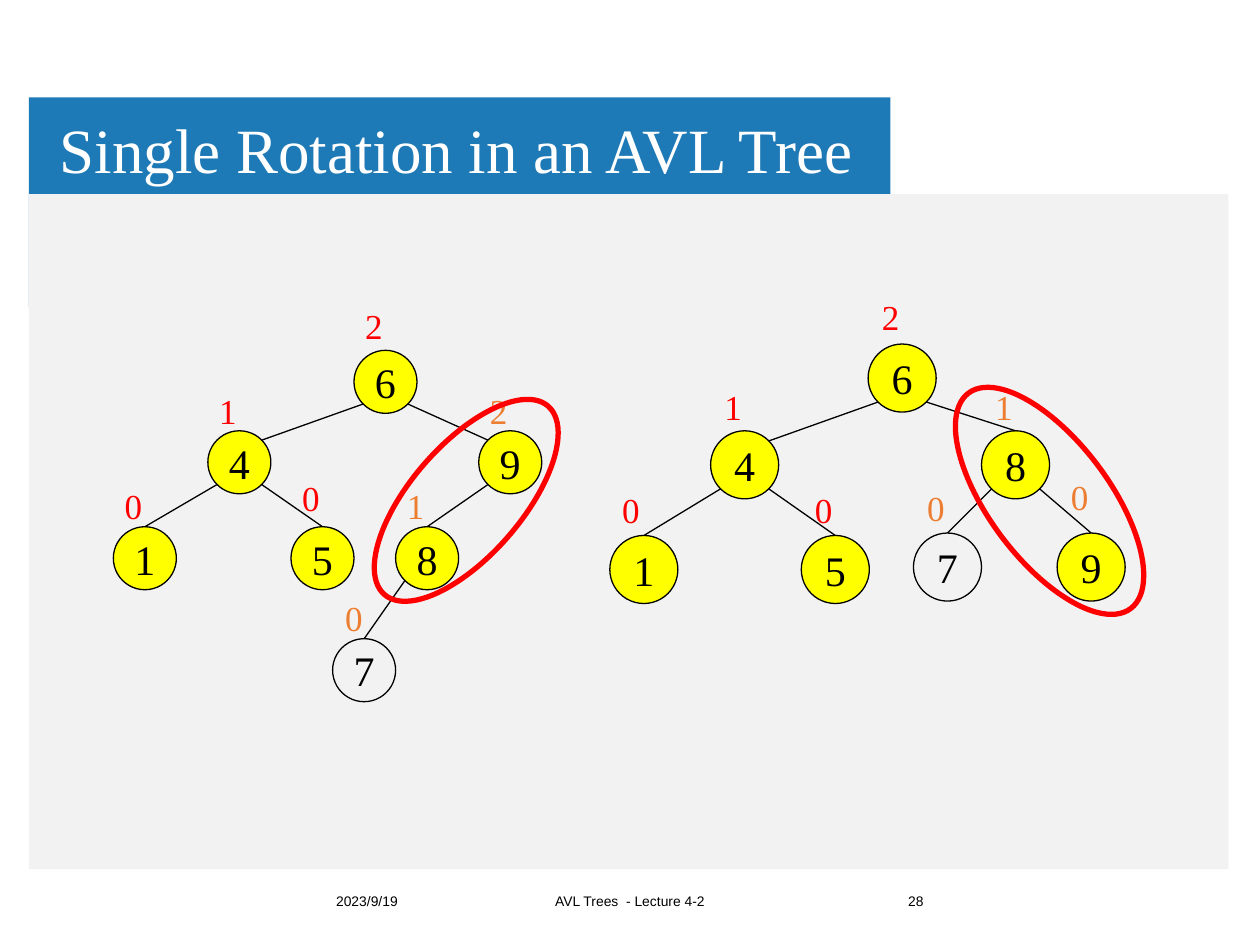
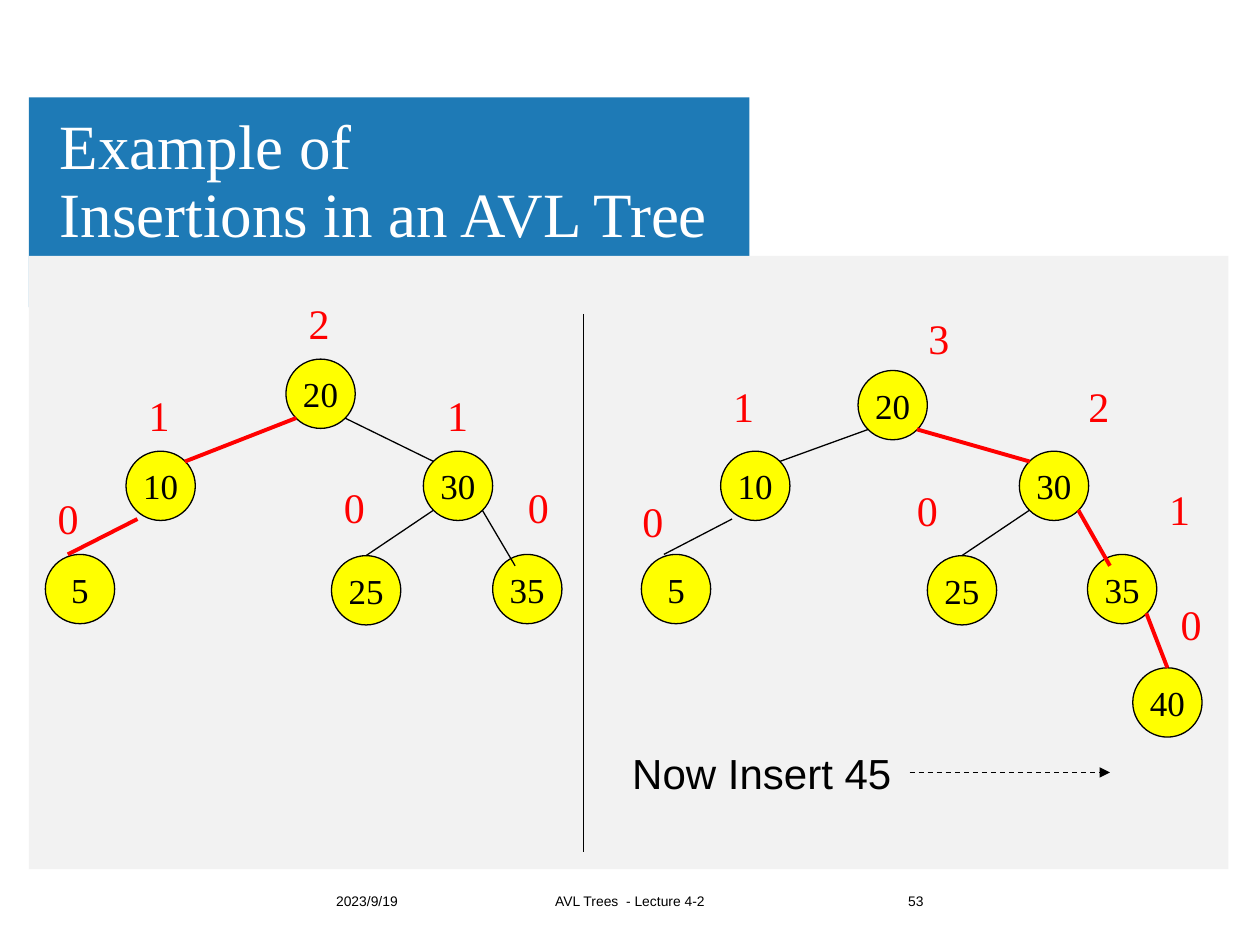
from dataclasses import dataclass

from pptx import Presentation
from pptx.dml.color import RGBColor
from pptx.enum.dml import MSO_LINE
from pptx.enum.shapes import MSO_CONNECTOR, MSO_SHAPE
from pptx.enum.text import MSO_ANCHOR, MSO_AUTO_SIZE, PP_ALIGN
from pptx.oxml.ns import qn
from pptx.oxml.xmlchemy import OxmlElement
from pptx.shapes.connector import Connector
from pptx.slide import Slide
from pptx.text.text import TextFrame
from pptx.util import Pt

LEFT, CENTER, RIGHT = PP_ALIGN.LEFT, PP_ALIGN.CENTER, PP_ALIGN.RIGHT
TOP, MIDDLE = MSO_ANCHOR.TOP, MSO_ANCHOR.MIDDLE
RECT, OVAL = MSO_SHAPE.RECTANGLE, MSO_SHAPE.OVAL
STRAIGHT, DASH = MSO_CONNECTOR.STRAIGHT, MSO_LINE.DASH
NO_FIT = MSO_AUTO_SIZE.NONE
TITLE_ONLY = 5


@dataclass(frozen=True)
class Theme:
    serif: str = "Times New Roman"
    sans: str = "Arial"
    blue: str = "1E7AB6"
    panel: str = "F2F2F2"
    yellow: str = "FFFF00"
    red: str = "FF0000"
    orange: str = "ED7D31"
    black: str = "000000"
    white: str = "FFFFFF"
    title: float = 36
    large: float = 24
    medium: float = 20
    footer: float = 7.9
    thin: float = 0.75
    thick: float = 2.25
    ring: float = 3


T = Theme()
CORNER = (0.7, 0.7)
CORNER_END = (0.7, -0.7)
TOP_END = (0, -1)


@dataclass(frozen=True)
class Node:
    key: str
    left: float
    top: float
    height: str
    shift: tuple[float, float]
    parent: str = ""
    end: tuple[float, float] = TOP_END
    start: tuple[float, float] = CORNER
    color: str = T.red
    filled: bool = True
    hot: bool = False


@dataclass(frozen=True)
class Tree:
    size: float
    key_pt: float
    height_pt: float
    nodes: list[Node]


@dataclass(frozen=True)
class Ring:
    left: float
    top: float
    width: float
    height: float
    angle: float


@dataclass(frozen=True)
class Page:
    title: str
    title_top: float
    band_width: float
    panel_top: float
    number: str
    trees: list[Tree]


def rgb(color: str) -> RGBColor:
    return RGBColor.from_string(color)


def write(tf: TextFrame, text: str, *, size: float, font: str = T.serif,
          color: str = T.black, align: PP_ALIGN = LEFT,
          anchor: MSO_ANCHOR = TOP, wrap: bool = True,
          spacing: float = 1.0) -> None:
    tf.text = text
    tf.word_wrap = wrap
    tf.vertical_anchor = anchor
    for p in tf.paragraphs:
        p.alignment = align
        p.line_spacing = spacing
        p.font.size = Pt(size)
        p.font.name = font
        p.font.color.rgb = rgb(color)


def add_text(shapes, left: float, top: float, width: float, height: float,
             text: str, **fmt) -> None:
    sp = shapes.add_textbox(Pt(left), Pt(top), Pt(width), Pt(height))
    write(sp.text_frame, text, **fmt)


def add_shape(shapes, kind: MSO_SHAPE, left: float, top: float, width: float,
              height: float, fill: str = "", line: str = "",
              weight: float = T.thin):
    sp = shapes.add_shape(kind, Pt(left), Pt(top), Pt(width), Pt(height))
    sp.shadow.inherit = False
    if fill:
        sp.fill.solid()
        sp.fill.fore_color.rgb = rgb(fill)
    else:
        sp.fill.background()
    if line:
        sp.line.color.rgb = rgb(line)
        sp.line.width = Pt(weight)
    else:
        sp.line.fill.background()
    return sp


def add_line(shapes, x1: float, y1: float, x2: float, y2: float,
             color: str = T.black, weight: float = T.thin,
             arrow: bool = False) -> Connector:
    sp = shapes.add_connector(STRAIGHT, Pt(x1), Pt(y1), Pt(x2), Pt(y2))
    sp.line.color.rgb = rgb(color)
    sp.line.width = Pt(weight)
    props = sp.element.spPr
    if arrow:
        sp.line.dash_style = DASH
        tail = OxmlElement("a:tailEnd")
        tail.set("type", "triangle")
        props.find(qn("a:ln")).append(tail)
    props.append(OxmlElement("a:effectLst"))
    return sp


def add_edge(shapes, parent: Node, child: Node, size: float) -> None:
    r = size / 2
    side = 1 if child.left > parent.left else -1
    add_line(shapes,
             parent.left + r + side * child.start[0] * r,
             parent.top + r + child.start[1] * r,
             child.left + r - side * child.end[0] * r,
             child.top + r + child.end[1] * r,
             T.red if child.hot else T.black,
             T.thick if child.hot else T.thin)


def add_tree(slide: Slide, tree: Tree) -> None:
    shapes = slide.shapes.add_group_shape().shapes
    by_key = {n.key: n for n in tree.nodes}
    for n in tree.nodes:
        add_text(shapes, n.left + n.shift[0], n.top + n.shift[1], tree.size,
                 tree.height_pt * 1.5, n.height, size=tree.height_pt,
                 color=n.color)
    for n in tree.nodes:
        sp = add_shape(shapes, OVAL, n.left, n.top, tree.size, tree.size,
                       T.yellow if n.filled else "", T.black)
        write(sp.text_frame, n.key, size=tree.key_pt, align=CENTER,
              anchor=MIDDLE, wrap=False)
    for n in tree.nodes:
        if n.parent:
            add_edge(shapes, by_key[n.parent], n, tree.size)


def add_page(prs: Presentation, page: Page) -> Slide:
    slide = prs.slides.add_slide(prs.slide_layouts[TITLE_ONLY])
    shapes = slide.shapes
    add_shape(shapes, RECT, 16.5, 55.6, page.band_width, 120, T.blue)
    add_shape(shapes, RECT, 16.5, page.panel_top, 685.5,
              496.6 - page.panel_top, T.panel)
    sp = shapes.title
    sp.left, sp.top = Pt(28.8), Pt(page.title_top)
    sp.width, sp.height = Pt(556), Pt(57)
    tf = sp.text_frame
    tf.auto_size = NO_FIT
    tf.margin_left = tf.margin_right = Pt(5.4)
    tf.margin_top = tf.margin_bottom = Pt(2.7)
    write(tf, page.title, size=T.title, color=T.white, anchor=MIDDLE,
          spacing=0.9)
    sp.element.getparent().append(sp.element)
    for left, width, text, align in (
            (185, 91.4, "2023/9/19", LEFT),
            (291.6, 136.8, "AVL Trees  - Lecture 4-2", CENTER),
            (443.5, 91.4, page.number, RIGHT)):
        add_text(shapes, left, 500.4, width, 28.8, text, size=T.footer,
                 font=T.sans, align=align, anchor=MIDDLE)
    for tree in page.trees:
        add_tree(slide, tree)
    return slide


UNBALANCED = Tree(36, T.large, T.medium, [
    Node("6", 202.3, 200.2, "2", (-0.7, -29.5)),
    Node("4", 118.8, 246.2, "1", (-0.7, -27.4), "6", CORNER_END),
    Node("9", 273.6, 246.2, "2", (-0.7, -27.4), "6", CORNER_END,
         color=T.orange),
    Node("1", 64.8, 301, "0", (-0.7, -27.4), "4"),
    Node("5", 166.3, 301, "0", (-0.7, -32.4), "4"),
    Node("8", 226.1, 301, "1", (-0.7, -27.4), "9", color=T.orange),
    Node("7", 190.1, 365, "0", (0, -27.4), "8", color=T.orange,
         filled=False),
])
ROTATED = Tree(38.9, T.large, T.medium, [
    Node("6", 496.1, 196.6, "2", (0.7, -31)),
    Node("4", 406.1, 246.2, "1", (0.7, -29.5), "6", CORNER_END),
    Node("8", 560.9, 246.2, "1", (0.7, -29.5), "6", color=T.orange),
    Node("1", 348.5, 306, "0", (0, -30.2), "4"),
    Node("5", 457.9, 306, "0", (0.7, -30.2), "4"),
    Node("7", 522, 304.6, "0", (0.7, -30.2), "8", color=T.orange,
         filled=False),
    Node("9", 604.1, 304.6, "0", (0.7, -36.7), "8", color=T.orange),
])
BEFORE = Tree(39.6, T.medium, T.large, [
    Node("20", 163.4, 205.2, "2", (5.8, -38.9)),
    Node("10", 72, 257.8, "1", (5.8, -38.9), "20", CORNER_END, hot=True),
    Node("30", 241.9, 257.8, "1", (6.5, -38.9), "20", CORNER_END),
    Node("5", 25.9, 316.8, "0", (0, -38.9), "10", (-0.35, -1),
         (0.67, 0.96), hot=True),
    Node("25", 189.4, 317.5, "0", (0, -46.1), "30"),
    Node("35", 281.5, 316.8, "0", (13, -45.4), "30", (0.35, -0.67)),
])
AFTER = Tree(39.6, T.medium, T.large, [
    Node("20", 490.3, 211.7, "3", (33.1, -36.7)),
    Node("10", 411.8, 257.8, "1", (0, -43.9), "20", CORNER_END),
    Node("30", 582.5, 257.8, "2", (32.4, -43.9), "20", CORNER_END, hot=True),
    Node("5", 366.5, 316.8, "0", (-6.5, -37.4), "10", (-0.35, -1),
         (0.67, 0.96)),
    Node("25", 529.9, 317.5, "0", (-13, -43.9), "30"),
    Node("35", 621.4, 316.8, "1", (39.6, -43.9), "30", (0.35, -0.67),
         hot=True),
    Node("40", 647.3, 381.6, "0", (20.2, -43.2), "35", hot=True),
])
ROTATION = Page("Single Rotation in an AVL Tree", 59, 492.3, 110.9, "28",
                [UNBALANCED, ROTATED])
INSERTION = Page("Example of\nInsertions in an AVL Tree", 76.3, 411.8, 146.2,
                 "53", [BEFORE, AFTER])
RINGS = [Ring(195.1, 254.2, 142.6, 63.4, 311),
         Ring(522.7, 252, 154.1, 68.4, 53)]


def main() -> None:
    prs = Presentation()
    prs.slide_width, prs.slide_height = Pt(720), Pt(540)

    slide = add_page(prs, ROTATION)
    for ring in RINGS:
        sp = add_shape(slide.shapes, OVAL, ring.left, ring.top, ring.width,
                       ring.height, line=T.red, weight=T.ring)
        sp.rotation = ring.angle

    shapes = add_page(prs, INSERTION).shapes
    add_text(shapes, 354.2, 423.4, 177.1, 37.4, "Now Insert 45",
             size=T.large, font=T.sans)
    add_line(shapes, 333.4, 179.3, 333.4, 486.7)
    add_line(shapes, 519.8, 441.4, 634.3, 441.4, arrow=True)

    prs.save("out.pptx")


if __name__ == "__main__":
    main()
